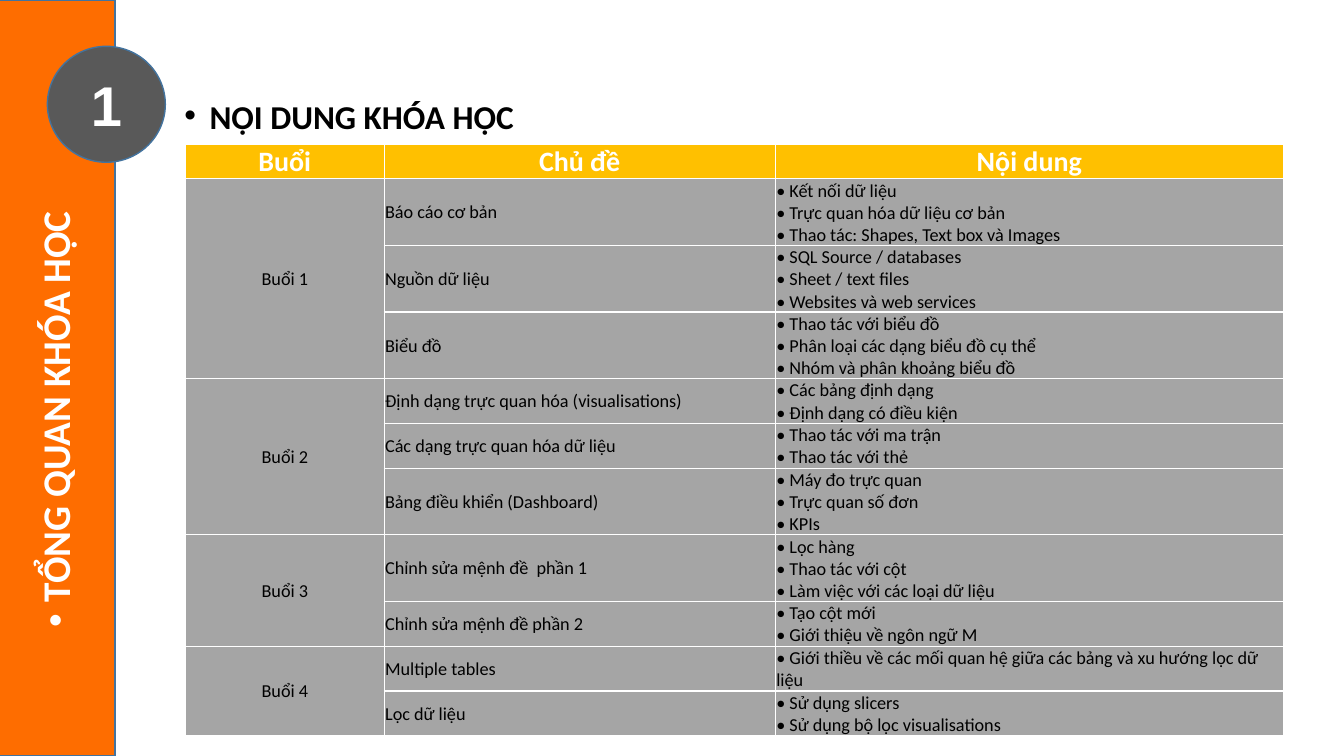
from dataclasses import dataclass
from lxml.etree import SubElement
from pptx import Presentation
from pptx.dml.color import RGBColor
from pptx.enum.shapes import MSO_SHAPE
from pptx.enum.text import MSO_ANCHOR, PP_ALIGN
from pptx.oxml.ns import qn
from pptx.util import Inches, Pt

SECTION_NUMBER = "1"
SECTION = "TỔNG QUAN KHÓA HỌC"
TITLE = "NỘI DUNG KHÓA HỌC"
HEADERS = ["Buổi", "Chủ đề", "Nội dung"]
SESSIONS = [
    ("Buổi 1", [
        ("Báo cáo cơ bản", ["Kết nối dữ liệu", "Trực quan hóa dữ liệu cơ bản",
                            "Thao tác: Shapes, Text box và Images"]),
        ("Nguồn dữ liệu", ["SQL Source / databases", "Sheet / text files",
                           "Websites và web services"]),
        ("Biểu đồ", ["Thao tác với biểu đồ", "Phân loại các dạng biểu đồ cụ thể",
                     "Nhóm và phân khoảng biểu đồ"]),
    ]),
    ("Buổi 2", [
        ("Định dạng trực quan hóa (visualisations)",
         ["Các bảng định dạng", "Định dạng có điều kiện"]),
        ("Các dạng trực quan hóa dữ liệu", ["Thao tác với ma trận", "Thao tác với thẻ"]),
        ("Bảng điều khiển (Dashboard)", ["Máy đo trực quan", "Trực quan số đơn", "KPIs"]),
    ]),
    ("Buổi 3", [
        ("Chỉnh sửa mệnh đề  phần 1",
         ["Lọc hàng", "Thao tác với cột", "Làm việc với các loại dữ liệu"]),
        ("Chỉnh sửa mệnh đề phần 2", ["Tạo cột mới", "Giới thiệu về ngôn ngữ M"]),
    ]),
    ("Buổi 4", [
        ("Multiple tables",
         ["Giới thiều về các mối quan hệ giữa các bảng và xu hướng lọc dữ liệu"]),
        ("Lọc dữ liệu", ["Sử dụng slicers", "Sử dụng bộ lọc visualisations"]),
    ]),
]
COLUMN_WIDTHS = [1.97, 3.88, 5.04]
HEADER_HEIGHT, LINE_HEIGHT = 0.33, 0.22


@dataclass(frozen=True)
class Theme:
    orange: str = "FE6D00"
    dark: str = "595959"
    outline: str = "43739E"
    header: str = "FFC000"
    body: str = "A5A5A5"
    white: str = "FFFFFF"
    black: str = "000000"
    font: str = "Calibri"
    number_font: str = "Arial"
    number_size: float = 40
    section_size: float = 28
    title_size: float = 23.8
    header_size: float = 20
    body_size: float = 13


T = Theme()


def add_run(p, text, size, color, bold=False, font=T.font):
    r = p.add_run()
    r.text = text
    r.font.size, r.font.bold, r.font.name = Pt(size), bold, font
    r.font.color.rgb = RGBColor.from_string(color)


def add_panel(s, kind, box, fill):
    sp = s.shapes.add_shape(kind, *map(Inches, box))
    sp.shadow.inherit = False
    sp.fill.solid()
    sp.fill.fore_color.rgb = RGBColor.from_string(fill)
    sp.line.color.rgb = RGBColor.from_string(T.outline)
    sp.line.width = Pt(1)
    return sp


def add_heading(s, box, text, size, color, spacing, align=PP_ALIGN.LEFT):
    """Add a bold one-line text box with a hanging bullet."""
    sp = s.shapes.add_textbox(*map(Inches, box))
    tf = sp.text_frame
    tf.word_wrap = True
    p = tf.paragraphs[0]
    p.alignment, p.line_spacing, p.space_before = align, spacing, Pt(10)
    pPr = p._p.get_or_add_pPr()
    pPr.set("marL", str(Inches(0.25)))
    pPr.set("indent", str(-Inches(0.25)))
    SubElement(pPr, qn("a:buFont"), typeface="Arial")
    SubElement(pPr, qn("a:buChar"), char="•")
    add_run(p, text, size, color, True)
    return sp


def style_cell(cell, fill):
    tcPr = cell._tc.get_or_add_tcPr()
    for side in ("lnL", "lnR", "lnT", "lnB"):
        ln = SubElement(tcPr, qn(f"a:{side}"), w=str(Pt(1)))
        SubElement(SubElement(ln, qn("a:solidFill")), qn("a:srgbClr"), val=T.white)
    cell.fill.solid()
    cell.fill.fore_color.rgb = RGBColor.from_string(fill)
    cell.vertical_anchor = MSO_ANCHOR.MIDDLE
    cell.margin_left = cell.margin_right = cell.margin_top = Inches(0.01)
    cell.margin_bottom = 0


def write_cell(cell, lines, size, color, bold=False, align=PP_ALIGN.LEFT):
    p = cell.text_frame.paragraphs[0]
    p.alignment = align
    for i, line in enumerate(lines):
        if i:
            p.add_line_break()
        add_run(p, line, size, color, bold)


def add_course_table(s):
    topics = [topic for _, group in SESSIONS for topic in group]
    heights = [HEADER_HEIGHT] + [max(2, len(points)) * LINE_HEIGHT for _, points in topics]
    table = s.shapes.add_table(
        len(heights), len(HEADERS), Inches(1.84), Inches(1.43),
        Inches(sum(COLUMN_WIDTHS)), Inches(sum(heights))).table
    for col, width in zip(table.columns, COLUMN_WIDTHS):
        col.width = Inches(width)
    for i, (row, height) in enumerate(zip(table.rows, heights)):
        row.height = Inches(height)
        for cell in row.cells:
            style_cell(cell, T.body if i else T.header)

    for c, header in enumerate(HEADERS):
        write_cell(table.cell(0, c), [header], T.header_size, T.white, True, PP_ALIGN.CENTER)
    row = 1
    for session, group in SESSIONS:
        first = table.cell(row, 0)
        first.merge(table.cell(row + len(group) - 1, 0))
        write_cell(first, [session], T.body_size, T.black, align=PP_ALIGN.CENTER)
        for topic, points in group:
            write_cell(table.cell(row, 1), [topic], T.body_size, T.black)
            write_cell(table.cell(row, 2), [f"• {point}" for point in points],
                       T.body_size, T.black)
            row += 1


def main():
    prs = Presentation()
    prs.slide_width, prs.slide_height = Inches(13.33), Inches(7.5)
    s = prs.slides.add_slide(prs.slide_layouts[6])

    add_panel(s, MSO_SHAPE.RECTANGLE, (-0.06, 0, 1.2, 7.5), T.orange)
    badge = add_panel(s, MSO_SHAPE.OVAL, (0.47, 0.46, 1.17, 1.15), T.dark)
    tf = badge.text_frame
    tf.vertical_anchor = MSO_ANCHOR.MIDDLE
    p = tf.paragraphs[0]
    p.alignment = PP_ALIGN.CENTER
    add_run(p, SECTION_NUMBER, T.number_size, T.white, True, T.number_font)

    add_heading(s, (1.73, 1.01, 11.12, 0.4), TITLE, T.title_size, T.black, 0.7)
    section = add_heading(s, (-1.62, 3.82, 4.54, 0.68), SECTION, T.section_size,
                          T.white, 0.9, PP_ALIGN.CENTER)
    section.rotation = 270
    add_course_table(s)
    prs.save("out.pptx")


if __name__ == "__main__":
    main()
